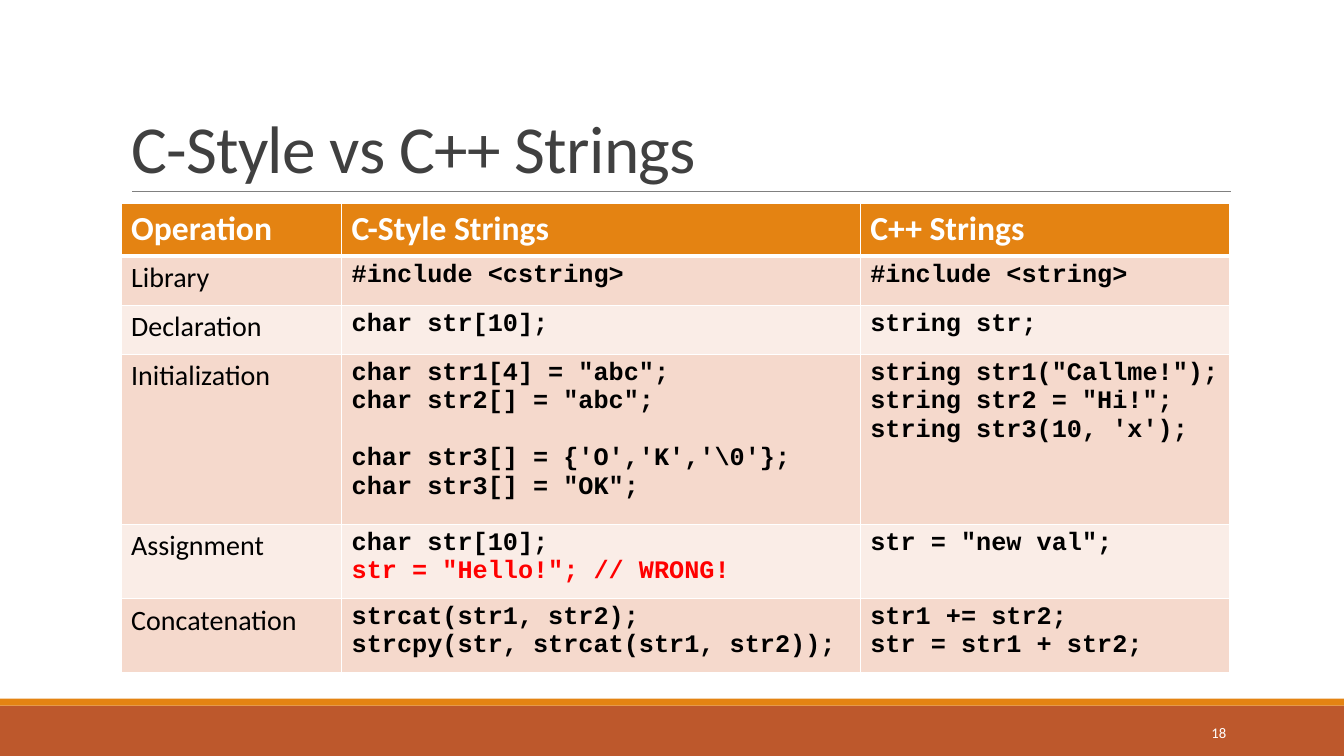
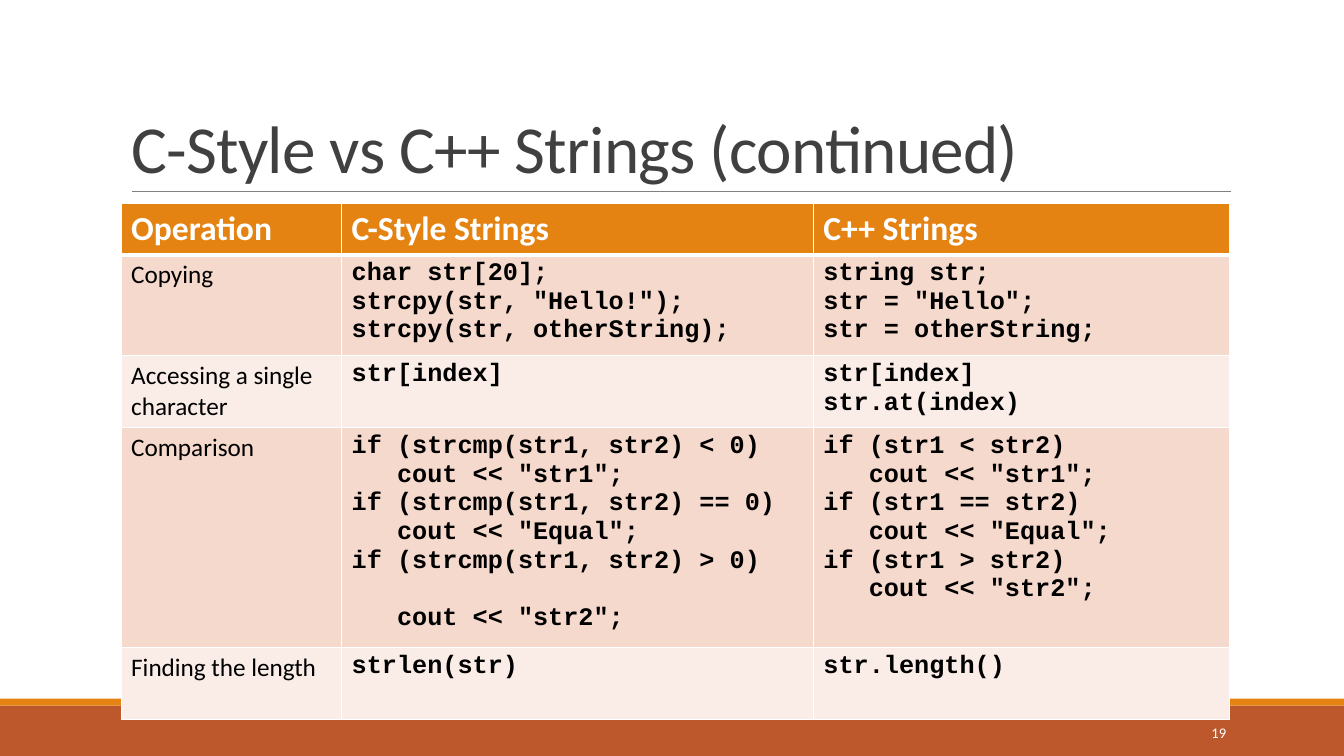
from dataclasses import dataclass

from lxml import etree
from pptx import Presentation
from pptx.dml.color import RGBColor
from pptx.enum import shapes, text
from pptx.oxml import ns
from pptx.util import Pt


@dataclass(frozen=True)
class Theme:
    body_font: str = "Calibri"
    code_font: str = "Courier New"
    footer: str = "BD582C"
    accent: str = "E48312"
    rule: str = "808080"
    title: str = "404040"
    white: str = "FFFFFF"
    ink: str = "000000"
    error: str = "FF0000"
    bands: tuple = ("F5D9CC", "FAEDE7")
    title_size: float = 48
    header_size: float = 24
    code_size: float = 18
    number_size: float = 10.5
    code_line: float = 20.4


WIDTH, HEIGHT = 960, 540
LEFT, CONTENT_WIDTH = 86.5, 792
TABLE_TOP = 145.5


class Deck:
    """Holds the style, the presentation and the slide being built."""

    def __init__(self, theme):
        self.theme = theme
        self.prs = Presentation()
        self.prs.slide_width, self.prs.slide_height = Pt(WIDTH), Pt(HEIGHT)
        self.s = None

    def new_slide(self, title, number):
        t = self.theme
        self.s = self.prs.slides.add_slide(self.prs.slide_layouts[5])
        self.band(504, 36, t.footer)
        self.band(499, 5, t.accent)
        self.rule(94.5, 879, 137)
        self.title(title)
        self.page_number(number)

    def style(self, p, size, color, font=None, bold=False):
        for r in p.runs:
            r.font.name = font or self.theme.body_font
            r.font.size = Pt(size)
            r.font.bold = bold
            r.font.color.rgb = RGBColor.from_string(color)

    def band(self, top, height, color):
        sp = self.s.shapes.add_shape(
            shapes.MSO_SHAPE.RECTANGLE, 0, Pt(top), Pt(WIDTH), Pt(height))
        sp.shadow.inherit = False
        sp.fill.solid()
        sp.fill.fore_color.rgb = RGBColor.from_string(color)
        sp.line.fill.background()

    def rule(self, left, right, y):
        line = self.s.shapes.add_connector(
            shapes.MSO_CONNECTOR.STRAIGHT, Pt(left), Pt(y), Pt(right), Pt(y))
        line.line.color.rgb = RGBColor.from_string(self.theme.rule)
        line.line.width = Pt(0.5)
        etree.SubElement(line.element.spPr, ns.qn("a:effectLst"))

    def title(self, words):
        sp = self.s.shapes.title
        sp.left, sp.top = Pt(LEFT), Pt(22.5)
        sp.width, sp.height = Pt(CONTENT_WIDTH), Pt(114.5)
        tf = sp.text_frame
        tf.text = words
        tf.word_wrap = True
        tf.auto_size = text.MSO_AUTO_SIZE.NONE
        tf.vertical_anchor = text.MSO_ANCHOR.BOTTOM
        p = tf.paragraphs[0]
        p.alignment = text.PP_ALIGN.LEFT
        p.line_spacing = 0.85
        self.style(p, self.theme.title_size, self.theme.title)
        p.runs[0].font._element.set("spc", "-50")

    def page_number(self, number):
        sp = self.s.shapes.add_textbox(Pt(780), Pt(508.5), Pt(103), Pt(29))
        tf = sp.text_frame
        tf.text = str(number)
        tf.word_wrap = True
        tf.vertical_anchor = text.MSO_ANCHOR.MIDDLE
        p = tf.paragraphs[0]
        p.alignment = text.PP_ALIGN.RIGHT
        self.style(p, self.theme.number_size, self.theme.white)

    def borders(self, cell, top, bottom):
        tcPr = cell._tc.get_or_add_tcPr()
        for side, width in (("L", 1), ("R", 1), ("T", top), ("B", bottom)):
            ln = etree.SubElement(tcPr, ns.qn(f"a:ln{side}"), w=str(Pt(width)))
            fill = etree.SubElement(ln, ns.qn("a:solidFill"))
            etree.SubElement(fill, ns.qn("a:srgbClr"), val=self.theme.white)

    def code(self, tf, source):
        """Writes one paragraph per code line; a blank line becomes spacing."""
        t = self.theme
        p, gap = tf.paragraphs[0], 0
        for i, line in enumerate(source.split("\n")):
            if not line:
                gap += t.code_line
                continue
            if i:
                p = tf.add_paragraph()
            p.text = line
            if gap:
                p.space_before = Pt(gap)
                gap = 0
            color = t.error if line.endswith("// WRONG!") else t.ink
            self.style(p, t.code_size, color, t.code_font, True)

    def table(self, rows, widths, heights, label_size):
        """Draws a header row, then rows of one label and two code cells."""
        t = self.theme
        frame = self.s.shapes.add_table(
            len(rows), len(widths), Pt(LEFT), Pt(TABLE_TOP),
            Pt(sum(widths)), Pt(sum(heights)))
        table = frame.table
        table.horz_banding = False
        for column, width in zip(table.columns, widths):
            column.width = Pt(width)
        for i, (row, height) in enumerate(zip(rows, heights)):
            table.rows[i].height = Pt(height)
            for j, words in enumerate(row):
                cell = table.cell(i, j)
                self.borders(cell, 3 if i == 1 else 1, 3 if i == 0 else 1)
                cell.fill.solid()
                color = t.bands[(i - 1) % 2] if i else t.accent
                cell.fill.fore_color.rgb = RGBColor.from_string(color)
                tf = cell.text_frame
                if i and j:
                    self.code(tf, words)
                    continue
                tf.text = words
                if i:
                    self.style(tf.paragraphs[0], label_size, t.ink)
                else:
                    self.style(tf.paragraphs[0], t.header_size, t.white, bold=True)


HEADER = ("Operation", "C-Style Strings", "C++ Strings")

BASICS = [
    HEADER,
    ("Library", "#include <cstring>", "#include <string>"),
    ("Declaration", "char str[10];", "string str;"),
    ("Initialization",
     'char str1[4] = "abc";\nchar str2[] = "abc";\n\n'
     "char str3[] = {'O','K','\\0'};\nchar str3[] = \"OK\";",
     'string str1("Callme!");\nstring str2 = "Hi!";\nstring str3(10, \'x\');'),
    ("Assignment",
     'char str[10];\nstr = "Hello!"; // WRONG!',
     'str = "new val";'),
    ("Concatenation",
     "strcat(str1, str2);\nstrcpy(str, strcat(str1, str2));",
     "str1 += str2;\nstr = str1 + str2;"),
]

MORE = [
    HEADER,
    ("Copying",
     'char str[20];\nstrcpy(str, "Hello!");\nstrcpy(str, otherString);',
     'string str;\nstr = "Hello";\nstr = otherString;'),
    ("Accessing a single character", "str[index]", "str[index]\nstr.at(index)"),
    ("Comparison",
     'if (strcmp(str1, str2) < 0)\n   cout << "str1";\n'
     'if (strcmp(str1, str2) == 0)\n   cout << "Equal";\n'
     'if (strcmp(str1, str2) > 0)\n\n   cout << "str2";',
     'if (str1 < str2)\n   cout << "str1";\n'
     'if (str1 == str2)\n   cout << "Equal";\n'
     'if (str1 > str2)\n   cout << "str2";'),
    ("Finding the length", "strlen(str)", "str.length()"),
]


def main():
    deck = Deck(Theme())
    deck.new_slide("C-Style vs C++ Strings", 18)
    deck.table(BASICS, (157.5, 370.5, 264), (37.5, 35, 35, 121.5, 53, 53), 20)
    deck.new_slide("C-Style vs C++ Strings (continued)", 19)
    deck.table(MORE, (157.5, 337, 297.5), (36.5, 71, 51.5, 150, 51.5), 18)
    deck.prs.save("out.pptx")


if __name__ == "__main__":
    main()
